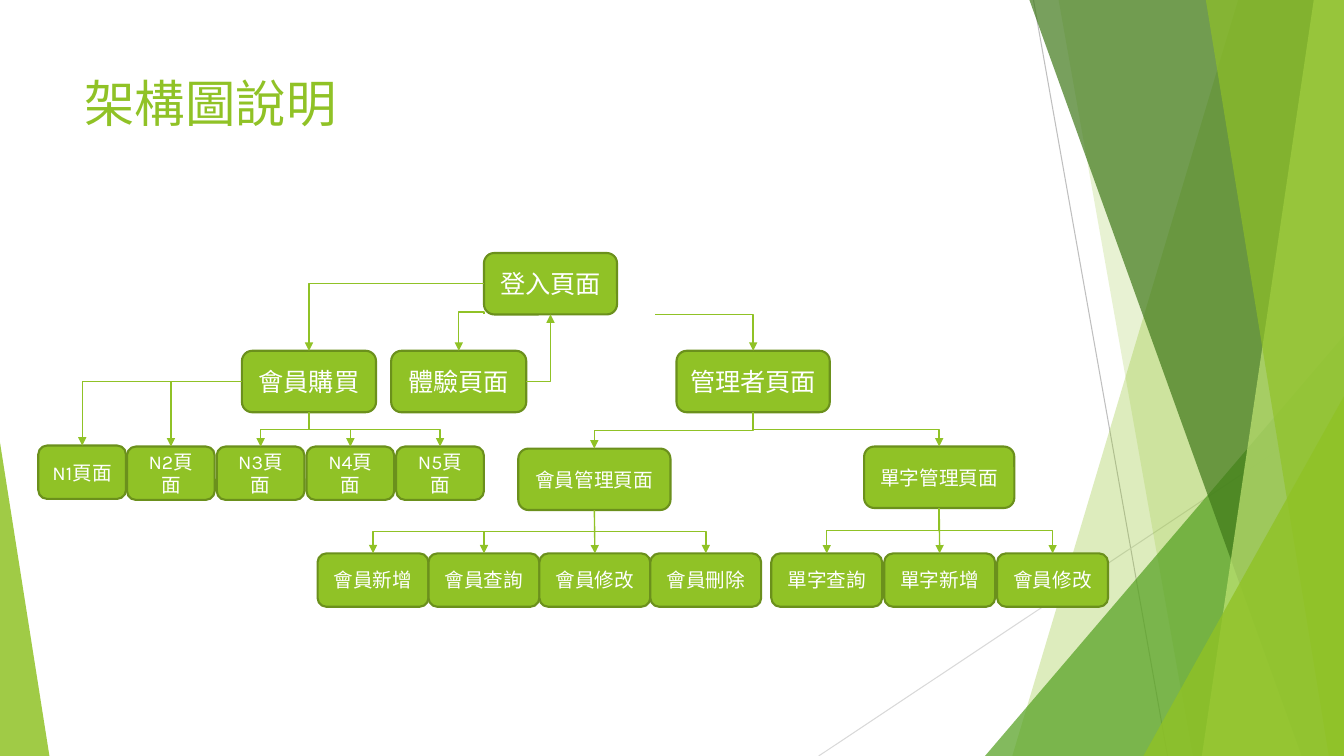
from lxml.etree import SubElement
from pptx import Presentation
from pptx.dml.color import RGBColor as Color
from pptx.enum.shapes import MSO_CONNECTOR as Connector, MSO_SHAPE as Preset
from pptx.enum.text import MSO_ANCHOR as Anchor, PP_ALIGN as Align
from pptx.oxml.ns import qn
from pptx.util import Inches, Pt

THEME = {
    "font": "Karla",
    "green": Color.from_string("90C226"),
    "border": Color.from_string("6B901C"),
    "leaf": Color.from_string("54A021"),
    "forest": Color.from_string("3F7819"),
    "lime": Color.from_string("C0E474"),
    "white": Color.from_string("FFFFFF"),
    "grey": Color.from_string("BFBFBF"),
    "pale grey": Color.from_string("D9D9D9"),
    "title": Pt(36),
    "page": Pt(18),
    "detail": Pt(14),
}

# The grid has one-inch columns and rows.
COLUMN = ROW = Inches(1)
COLUMNS, ROWS = 13.33, 7.5

presentation = Presentation()
presentation.slide_width = int(COLUMNS * COLUMN)
presentation.slide_height = int(ROWS * ROW)
slide = presentation.slides.add_slide(presentation.slide_layouts[6])
shapes = slide.shapes


def draw_connector(kind, begin, end, color, width, arrow=False):
    connector = shapes.add_connector(kind, *(int(value) for value in (*begin, *end)))
    connector.line.color.rgb = color
    connector.line.width = Pt(width)
    if arrow:
        SubElement(connector.line._get_or_add_ln(), qn("a:tailEnd"), type="triangle")
    SubElement(connector.element.spPr, qn("a:effectLst"))
    return connector


def draw_elbow(begin, end, vertical_first=False, bend=None):
    """Arrow that turns once, or leaves vertically and turns twice."""
    (x1, y1), (x2, y2) = begin, end
    if not vertical_first:
        connector = draw_connector(Connector.ELBOW, begin, end, THEME["green"], 1, True)
        connector.element.spPr.find(qn("a:prstGeom")).set("prst", "bentConnector2")
        if x2 < x1:
            frame = connector.element.spPr.find(qn("a:xfrm"))
            frame.attrib.pop("flipH")
            frame.set("rot", str(180 * 60000))
            frame.set("flipV", "1")
        return
    # The frame is turned a quarter about its centre, so its sides swap.
    length, breadth = abs(y2 - y1), abs(x2 - x1)
    left, top = (x1 + x2 - length) / 2, (y1 + y2 - breadth) / 2
    connector = draw_connector(Connector.ELBOW, (left, top), (left + length, top + breadth),
                               THEME["green"], 1, True)
    frame = connector.element.spPr.find(qn("a:xfrm"))
    frame.set("rot", str((90 if x2 < x1 else 270) * 60000))
    if x2 > x1:
        frame.set("flipH", "1")
    if bend is not None:
        geometry = connector.element.spPr.find(qn("a:prstGeom"))
        adjustments = geometry.find(qn("a:avLst"))
        if adjustments is None:
            adjustments = SubElement(geometry, qn("a:avLst"))
        SubElement(adjustments, qn("a:gd"), name="adj1", fmla=f"val {int(bend * 100000)}")


# Background: two hairlines, then translucent bands and triangles
for begin, end, color in (
    ((10.25, 0), (11.58, ROWS), "grey"),
    ((COLUMNS, 4.03), (8.12, ROWS), "pale grey"),
):
    draw_connector(Connector.STRAIGHT, (begin[0] * COLUMN, begin[1] * ROW),
                   (end[0] * COLUMN, end[1] * ROW), THEME[color], 0.75)

# A band gives its left edge at top and bottom and runs to the right side;
# a triangle gives left, top, width and the place of its tip, and runs to the foot.
for geometry, color, opacity in (
    ((12.28, 10.04), "green", 30),
    ((10.5, 11.83), "green", 20),
    ((9.77, 3.33, 3.56, 1), "leaf", 72),
    ((10.21, 12.91), "forest", 70),
    ((13.03, 11.92), "lime", 70),
    ((11.96, 13.18), "green", 65),
    ((11.34, 3.93, 1.99, 1), "green", 80),
    ((0, 4.39, 0.49, 0), "green", 85),
):
    if len(geometry) == 2:
        top_left, bottom_left = (int(edge * COLUMN) for edge in geometry)
        right, foot = presentation.slide_width, presentation.slide_height
        builder = shapes.build_freeform(top_left, 0)
        builder.add_line_segments([(right, 0), (right, foot), (bottom_left, foot)], close=True)
        facet = builder.convert_to_shape()
    else:
        left, top, width, tip = geometry
        facet = shapes.add_shape(Preset.ISOSCELES_TRIANGLE, int(left * COLUMN), int(top * ROW),
                                 int(width * COLUMN), int((ROWS - top) * ROW))
        facet.adjustments[0] = tip
    facet.shadow.inherit = False
    facet.line.fill.background()
    facet.fill.solid()
    facet.fill.fore_color.rgb = THEME[color]
    SubElement(next(facet.element.spPr.iter(qn("a:srgbClr"))), qn("a:alpha"),
               val=str(opacity * 1000))

# Title
title = shapes.add_textbox(int(0.74 * COLUMN), int(0.67 * ROW), int(9.4 * COLUMN), int(1.44 * ROW))
title.text_frame.word_wrap = True
title.text_frame.vertical_anchor = Anchor.TOP
run = title.text_frame.paragraphs[0].add_run()
run.text = "架構圖說明"
run.font.name = THEME["font"]
run.font.size = THEME["title"]
run.font.color.rgb = THEME["green"]

# Page boxes: group, left, top, width, height, pitch, type size, labels
boxes = {}
for group, left, top, width, height, pitch, size, labels in (
    ("login", 4.8, 2.51, 1.32, 0.61, 0, "page", ["登入頁面"]),
    ("purchase", 2.4, 3.48, 1.33, 0.61, 0, "page", ["會員購買"]),
    ("trial", 3.88, 3.48, 1.34, 0.61, 0, "page", ["體驗頁面"]),
    ("manager", 6.71, 3.48, 1.52, 0.61, 0, "page", ["管理者頁面"]),
    ("level 1", 0.38, 4.42, 0.87, 0.53, 0, "detail", ["N1頁面"]),
    ("levels", 1.26, 4.43, 0.87, 0.53, 0.89, "detail", [f"N{n}頁面" for n in range(2, 6)]),
    ("members", 5.14, 4.45, 1.51, 0.61, 0, "detail", ["會員管理頁面"]),
    ("words", 8.57, 4.43, 1.49, 0.61, 0, "detail", ["單字管理頁面"]),
    ("member tasks", 3.15, 5.49, 1.1, 0.53, 1.1, "detail",
     ["會員新增", "會員查詢", "會員修改", "會員刪除"]),
    ("word tasks", 7.65, 5.49, 1.1, 0.53, 1.12, "detail", ["單字查詢", "單字新增", "會員修改"]),
):
    boxes[group] = []
    for index, label in enumerate(labels):
        box = shapes.add_shape(Preset.FLOWCHART_ALTERNATE_PROCESS,
                               int((left + index * pitch) * COLUMN), int(top * ROW),
                               int(width * COLUMN), int(height * ROW))
        box.shadow.inherit = False
        box.fill.solid()
        box.fill.fore_color.rgb = THEME["green"]
        box.line.color.rgb = THEME["border"]
        box.line.width = Pt(1.5)
        box.text_frame.word_wrap = True
        box.text_frame.vertical_anchor = Anchor.MIDDLE
        paragraph = box.text_frame.paragraphs[0]
        paragraph.alignment = Align.CENTER
        run = paragraph.add_run()
        run.text = label
        run.font.name = THEME["font"]
        run.font.size = THEME[size]
        run.font.color.rgb = THEME["white"]
        boxes[group].append(box)

# Arrows that leave a box sideways and turn down
login, purchase, trial, manager = (
    boxes[name][0] for name in ("login", "purchase", "trial", "manager"))
for parent, child in (
    (login, purchase),
    (purchase, boxes["level 1"][0]),
    (purchase, boxes["levels"][0]),
):
    draw_elbow((parent.left, parent.top + parent.height / 2),
               (child.left + child.width / 2, child.top))

# Login to trial and back, and the way to the manager page
login_foot = login.top + login.height
draw_elbow((login.left, login_foot), (trial.left + trial.width / 2, trial.top), True, -0.07)
draw_elbow((trial.left + trial.width, trial.top + trial.height / 2),
           (login.left + login.width / 2, login_foot))
draw_elbow((6.5 * COLUMN, login_foot), (manager.left + manager.width / 2, manager.top))

# Arrows that fan out below a box
for parent, children in (
    (purchase, boxes["levels"][1:]),
    (manager, boxes["members"] + boxes["words"]),
    (boxes["members"][0], boxes["member tasks"]),
    (boxes["words"][0], boxes["word tasks"]),
):
    begin = (parent.left + parent.width / 2, parent.top + parent.height)
    for child in children:
        end = (child.left + child.width / 2, child.top)
        if abs(end[0] - begin[0]) < 0.02 * COLUMN:
            arrow = draw_connector(Connector.STRAIGHT, begin, end, THEME["green"], 1, True)
            arrow.begin_connect(parent, 2)
            arrow.end_connect(child, 0)
        else:
            draw_elbow(begin, end, True)

presentation.save("out.pptx")
